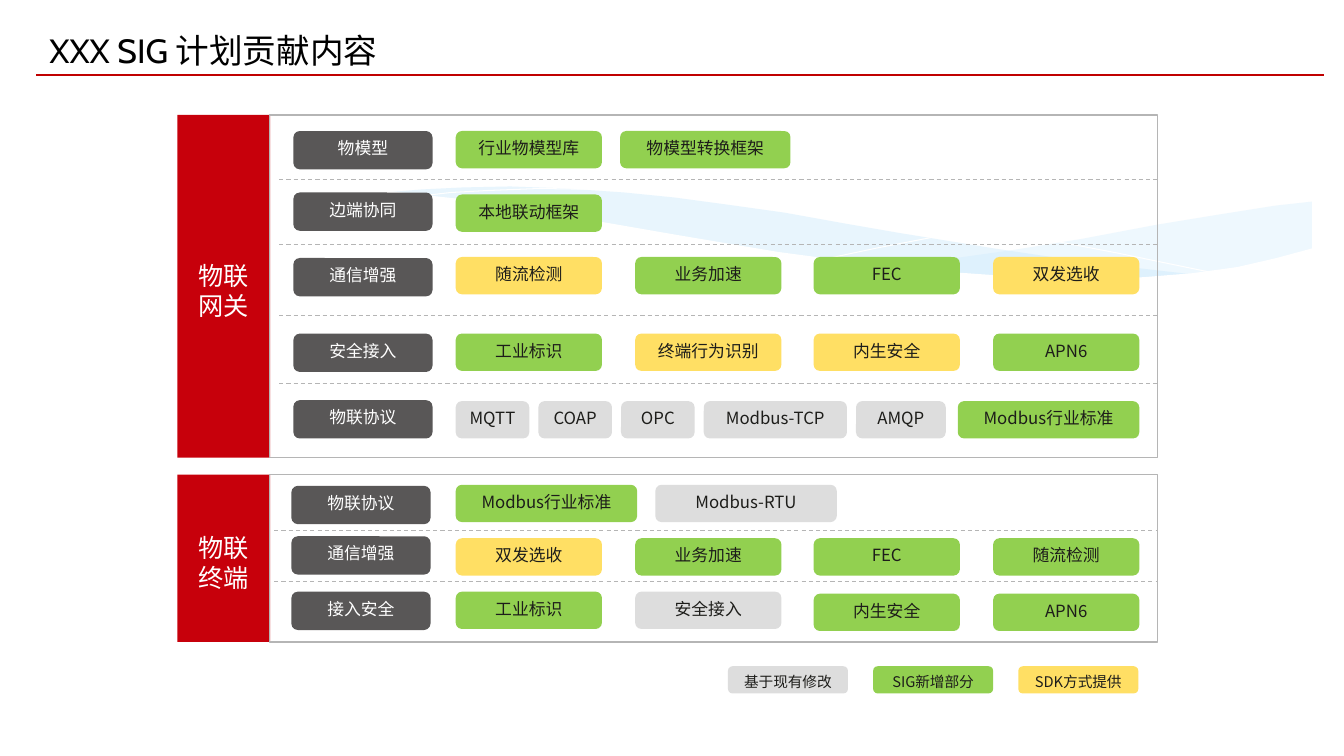
from dataclasses import dataclass
from typing import Optional

from lxml.etree import SubElement
from pptx import Presentation
from pptx.dml.color import RGBColor
from pptx.enum.dml import MSO_LINE
from pptx.enum.shapes import MSO_CONNECTOR, MSO_SHAPE
from pptx.enum.text import MSO_ANCHOR, MSO_AUTO_SIZE, PP_ALIGN
from pptx.oxml.ns import qn
from pptx.util import Pt

PX = 9144  # EMU per px, 100 px to the inch


@dataclass(frozen=True)
class Theme:
    title_font: str = "Cabin"
    font: str = "Noto Sans CJK SC"
    title_size: float = 24
    side_size: float = 18
    pill_size: float = 12
    legend_size: float = 10.5
    black: str = "000000"
    white: str = "FFFFFF"
    ink: str = "1D1D1A"
    rule: str = "C00000"
    side: str = "C7000B"
    category: str = "595757"
    border: str = "B5B5B5"
    wave: str = "C6E7FC"
    existing: str = "DDDDDD"
    new: str = "92D050"
    sdk: str = "FFDF64"


THEME = Theme()
COLUMNS = [452, 630, 807, 985]


@dataclass(frozen=True)
class Box:
    x: int
    y: int
    width: int
    height: int


@dataclass(frozen=True)
class Pill:
    text: str
    fill: str
    x: int
    width: int = 145
    inset: int = 10
    drop: int = 0


@dataclass(frozen=True)
class Row:
    category: str
    category_y: int
    pill_y: int
    pills: list[Pill]


@dataclass(frozen=True)
class Panel:
    name: str
    y: int
    height: int
    category_x: int
    divider_x: int
    dividers: list[int]
    rows: list[Row]


@dataclass(frozen=True)
class Wave:
    points: list[tuple[int, int]]
    fill: Optional[str] = None
    opacity: int = 100


def in_columns(*items: tuple[str, str], last_drop: int = 0) -> list[Pill]:
    return [Pill(text, fill, x, drop=last_drop if x >= COLUMNS[2] else 0)
            for (text, fill), x in zip(items, COLUMNS)]


NEW, SDK, EXISTING = THEME.new, THEME.sdk, THEME.existing

PANELS = [
    Panel("物联\n终端", 471, 166, 289, 272, [526, 577], [
        Row("物联协议", 482, 481, [Pill("Modbus行业标准", NEW, 452, 180),
                               Pill("Modbus-RTU", EXISTING, 650, 180)]),
        Row("通信增强", 532, 534, in_columns(("双发选收", SDK), ("业务加速", NEW),
                                         ("FEC", NEW), ("随流检测", NEW))),
        Row("接入安全", 587, 587, in_columns(("工业标识", NEW), ("安全接入", EXISTING),
                                         ("内生安全", NEW), ("APN6", NEW), last_drop=2)),
    ]),
    Panel("物联\n网关", 114, 340, 291, 277, [178, 243, 313, 380], [
        Row("物模型", 130, 130, [Pill("行业物模型库", NEW, 452),
                              Pill("物模型转换框架", NEW, 615, 169)]),
        Row("边端协同", 191, 193, [Pill("本地联动框架", NEW, 452)]),
        Row("通信增强", 256, 255, in_columns(("随流检测", SDK), ("业务加速", NEW),
                                         ("FEC", NEW), ("双发选收", SDK))),
        Row("安全接入", 331, 331, in_columns(("工业标识", NEW), ("终端行为识别", SDK),
                                         ("内生安全", SDK), ("APN6", NEW))),
        Row("物联协议", 397, 398, [
            Pill("MQTT", EXISTING, 452, 73, 4), Pill("COAP", EXISTING, 534, 73, 4),
            Pill("OPC", EXISTING, 616, 73, 4), Pill("Modbus-TCP", EXISTING, 698, 142, 4),
            Pill("AMQP", EXISTING, 849, 89), Pill("Modbus行业标准", NEW, 950, 180)]),
    ]),
]

LEGEND = [("基于现有修改", EXISTING), ("SIG新增部分", NEW), ("SDK方式提供", SDK)]

WAVES = [
    Wave([(1301, 200), (1265, 204), (1208, 213), (1147, 223), (1073, 237), (1005, 248),
          (941, 257), (882, 265), (940, 271), (993, 275), (1041, 277), (1085, 278),
          (1126, 277), (1163, 274), (1196, 270), (1228, 265), (1257, 259), (1284, 252),
          (1301, 247)], THEME.wave, 29),
    Wave([(1190, 273), (1154, 269), (1076, 260), (989, 247), (891, 231), (839, 222),
          (778, 211), (721, 203), (669, 196), (619, 191), (560, 187), (506, 185),
          (459, 186), (418, 188), (382, 191), (431, 196), (483, 203), (539, 211),
          (599, 222), (706, 240), (802, 255), (887, 266), (963, 274), (1030, 277),
          (1090, 278), (1143, 277)], THEME.wave, 40),
    Wave([(412, 195), (447, 191), (484, 189), (535, 187), (600, 188), (652, 190),
          (710, 194), (775, 200), (848, 208), (927, 219), (1014, 233), (1108, 251),
          (1210, 272)]),
    Wave([(818, 257), (870, 246), (927, 235), (997, 223), (1075, 210), (1155, 199),
          (1213, 192), (1267, 187), (1300, 185)]),
    Wave([(1303, 246), (1266, 256), (1227, 265), (1183, 271), (1134, 275), (1078, 277),
          (1015, 275), (944, 270), (863, 262), (772, 250), (671, 233), (596, 220),
          (521, 207), (453, 197), (390, 190), (333, 186), (282, 184), (214, 184),
          (158, 187), (113, 193), (69, 201), (31, 213), (31, 329), (1303, 329)],
         THEME.white),
]


def paint(shape, fill: Optional[str], line: Optional[str] = None, width: float = 1) -> None:
    shape.shadow.inherit = False
    if fill:
        shape.fill.solid()
        shape.fill.fore_color.rgb = RGBColor.from_string(fill)
    else:
        shape.fill.background()
    if line:
        shape.line.color.rgb = RGBColor.from_string(line)
        shape.line.width = Pt(width)
    else:
        shape.line.fill.background()


def write(shape, text: str, size: float, color: str, font: str = THEME.font,
          align: PP_ALIGN = PP_ALIGN.CENTER, anchor: MSO_ANCHOR = MSO_ANCHOR.TOP,
          insets: tuple[int, int, int, int] = (10, 5, 10, 5)) -> None:
    frame = shape.text_frame
    frame.text = text
    frame.word_wrap = True
    frame.vertical_anchor = anchor
    (frame.margin_left, frame.margin_top,
     frame.margin_right, frame.margin_bottom) = (inset * PX for inset in insets)
    for paragraph in frame.paragraphs:
        paragraph.alignment = align
        for run in paragraph.runs:
            run.font.size = Pt(size)
            run.font.color.rgb = RGBColor.from_string(color)
            run.font.name = font
            SubElement(run._r.get_or_add_rPr(), qn("a:ea"), typeface=font)


def place(shape, box: Box) -> None:
    shape.left, shape.top = box.x * PX, box.y * PX
    shape.width, shape.height = box.width * PX, box.height * PX


def add_box(slide, kind: MSO_SHAPE, box: Box, fill: Optional[str],
            line: Optional[str] = None):
    shape = slide.shapes.add_shape(kind, 0, 0, PX, PX)
    place(shape, box)
    paint(shape, fill, line)
    return shape


def add_pill(slide, box: Box, text: str, fill: str, size: float = THEME.pill_size,
             color: str = THEME.ink, inset: int = 10) -> None:
    pill = add_box(slide, MSO_SHAPE.ROUNDED_RECTANGLE, box, fill)
    write(pill, text, size, color, insets=(inset, 5, inset, 5))


def add_rule(slide, x1: int, x2: int, y: int, color: str, width: float,
             dash: Optional[MSO_LINE] = None) -> None:
    rule = slide.shapes.add_connector(MSO_CONNECTOR.STRAIGHT, x1 * PX, y * PX, x2 * PX, y * PX)
    rule.line.color.rgb = RGBColor.from_string(color)
    rule.line.width = Pt(width)
    if dash:
        rule.line.dash_style = dash
    SubElement(rule._element.spPr, qn("a:effectLst"))


def add_wave(slide, wave: Wave) -> None:
    builder = slide.shapes.build_freeform(*wave.points[0], scale=PX)
    builder.add_line_segments(wave.points[1:], close=wave.fill is not None)
    shape = builder.convert_to_shape()
    paint(shape, wave.fill, None if wave.fill else THEME.white, 0)
    if wave.opacity < 100:
        color = shape._element.spPr.find(qn("a:solidFill"))[0]
        SubElement(color, qn("a:alpha"), val=str(wave.opacity * 1000))


def add_panel(slide, panel: Panel) -> None:
    for y in panel.dividers:
        add_rule(slide, panel.divider_x, 1148, y, THEME.border, 0.75, MSO_LINE.DASH)
    side = add_box(slide, MSO_SHAPE.RECTANGLE, Box(176, panel.y, 92, panel.height), THEME.side)
    write(side, panel.name, THEME.side_size, THEME.white,
          anchor=MSO_ANCHOR.MIDDLE, insets=(8, 8, 8, 0))
    add_box(slide, MSO_SHAPE.RECTANGLE, Box(267, panel.y, 881, panel.height), None, THEME.border)
    for row in panel.rows:
        add_pill(slide, Box(panel.category_x, row.category_y, 138, 38), row.category,
                 THEME.category, color=THEME.white)
        for pill in row.pills:
            add_pill(slide, Box(pill.x, row.pill_y + pill.drop, pill.width, 37),
                     pill.text, pill.fill, inset=pill.inset)


def main() -> None:
    deck = Presentation()
    deck.slide_width, deck.slide_height = 1333 * PX, 750 * PX
    slide = deck.slides.add_slide(deck.slide_layouts[5])

    # Background waves
    for wave in WAVES:
        add_wave(slide, wave)

    # Title and its rule
    title = slide.shapes.title
    place(title, Box(39, 25, 682, 50))
    write(title, "XXX SIG 计划贡献内容", THEME.title_size, THEME.black, THEME.title_font,
          PP_ALIGN.LEFT, MSO_ANCHOR.MIDDLE)
    title.text_frame.auto_size = MSO_AUTO_SIZE.NONE
    add_rule(slide, 36, 1313, 74, THEME.rule, 1.5)

    # Gateway and terminal panels
    for panel in PANELS:
        add_panel(slide, panel)

    # Legend
    for i, (text, fill) in enumerate(LEGEND):
        add_pill(slide, Box(722 + 144 * i, 661, 119, 27), text, fill, THEME.legend_size)

    deck.save("out.pptx")


if __name__ == "__main__":
    main()
